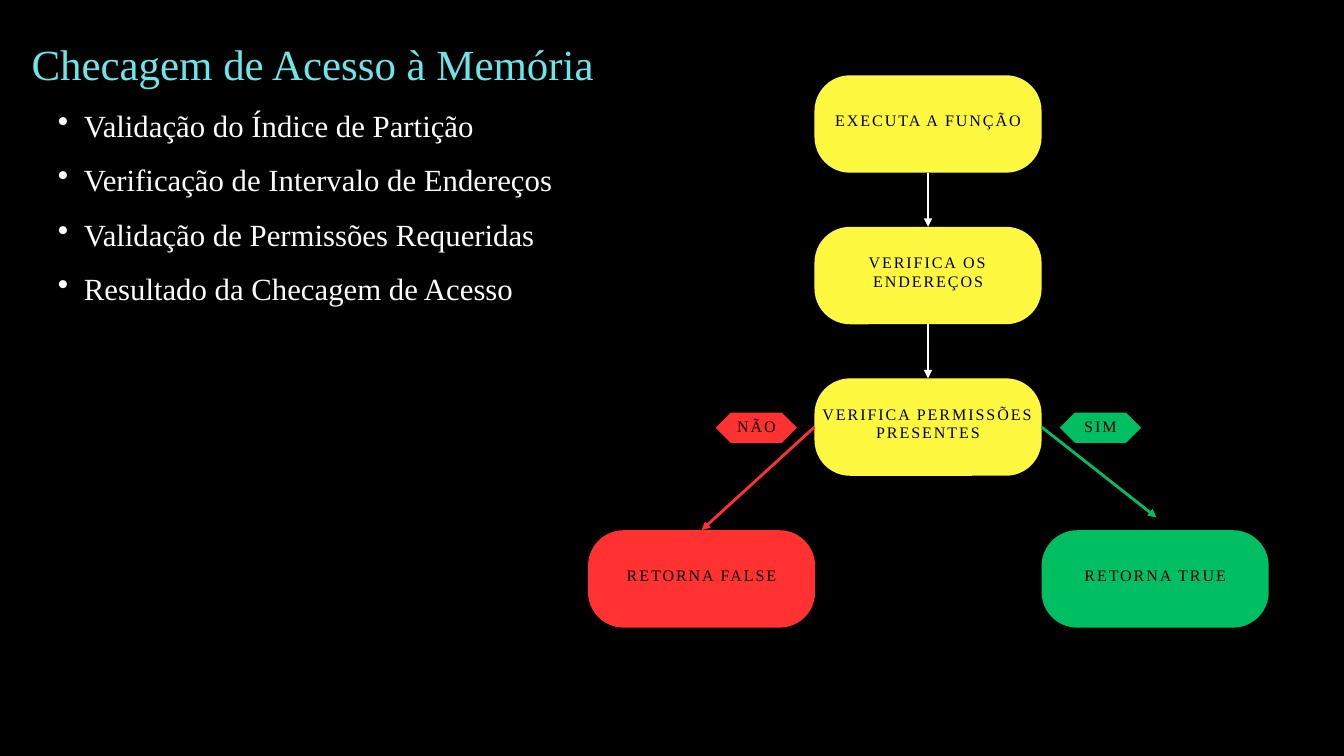
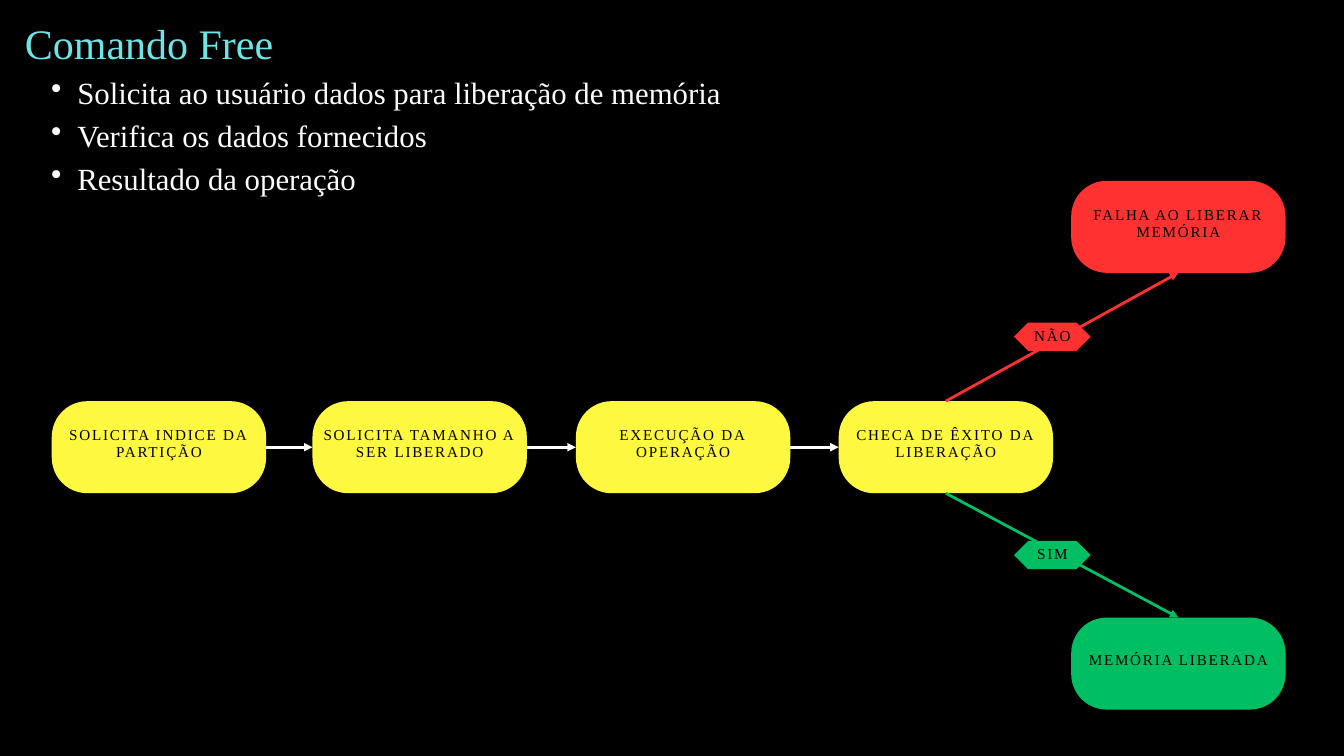
from lxml import etree
from pptx import Presentation
from pptx.dml.color import RGBColor
from pptx.enum import shapes, text
from pptx.oxml import ns
from pptx.util import Inches, Pt

COLORS = {
    "back": "000000", "ink": "000000", "title": "6CE5E8", "list": "FDFDFD",
    "arrow": "FFFFFF", "step": "FFF840", "no": "FF3131", "yes": "00BF63",
}
FONT = "Times New Roman"
TOP, LEFT, BOTTOM, RIGHT = range(4)


def color(name):
    return RGBColor.from_string(COLORS[name])


class Deck:
    """Holds the shared style and the current slide."""

    def __init__(self):
        self.prs = Presentation()
        self.prs.slide_width = Inches(20)
        self.prs.slide_height = Inches(11.25)
        fill = self.prs.slide_master.background.fill
        fill.solid()
        fill.fore_color.rgb = color("back")

    def page(self, box, tag, size, gap, lead):
        """Start a slide; set the box and tag sizes and the label type."""
        self.slide = self.prs.slides.add_slide(self.prs.slide_layouts[5])
        self.box, self.tag = box, tag
        self.size, self.gap, self.lead = size, gap, lead

    def style(self, par, size, hue, lead, align, gap=0):
        par.alignment = align
        par.line_spacing = Pt(lead)
        par.space_before = par.space_after = Pt(0)
        for run in par.runs:
            run.font.name = FONT
            run.font.size = Pt(size)
            run.font.color.rgb = color(hue)
            if gap:
                run.font._element.set("spc", str(round(gap * 100)))

    def frame(self, shape, anchor, wrap, low=0):
        frame = shape.text_frame
        frame.margin_left = frame.margin_right = frame.margin_top = 0
        frame.margin_bottom = Inches(low)
        frame.vertical_anchor = anchor
        frame.word_wrap = wrap
        frame.auto_size = text.MSO_AUTO_SIZE.NONE
        return frame

    def head(self, words, items, left, top, width, size, lead, step):
        """Title with its bullet list directly below."""
        title = self.slide.shapes.title
        title.left, title.top = Inches(left), Inches(top)
        title.width, title.height = Inches(width), Pt(lead)
        frame = self.frame(title, text.MSO_ANCHOR.TOP, True)
        frame.text = words
        self.style(frame.paragraphs[0], size, "title", lead, text.PP_ALIGN.JUSTIFY)

        body = self.slide.shapes.add_textbox(
            Inches(left), title.top + title.height, Inches(width), Pt(step * len(items)))
        frame = self.frame(body, text.MSO_ANCHOR.TOP, True)
        frame.text = "\n".join(items)
        for par in frame.paragraphs:
            par.level = 1
            self.style(par, 33, "list", step, text.PP_ALIGN.JUSTIFY)
            props = par._p.get_or_add_pPr()
            props.set("marL", str(Inches(0.78)))
            props.set("indent", str(Inches(-0.39)))
            etree.SubElement(props, ns.qn("a:buChar")).set("char", "•")

    def block(self, kind, words, left, top, dims, hue, bend, low):
        shape = self.slide.shapes.add_shape(
            kind, Inches(left), Inches(top), *map(Inches, dims))
        shape.adjustments[0] = bend
        shape.shadow.inherit = False
        shape.fill.solid()
        shape.fill.fore_color.rgb = color(hue)
        shape.line.fill.background()
        frame = self.frame(shape, text.MSO_ANCHOR.MIDDLE, False, low)
        frame.text = words
        self.style(frame.paragraphs[0], self.size, "ink", self.lead,
                   text.PP_ALIGN.CENTER, self.gap)
        return shape

    def node(self, words, left, top, hue="step"):
        """Rounded flow box; the label sits a little above the middle."""
        return self.block(shapes.MSO_SHAPE.ROUNDED_RECTANGLE, words, left, top,
                          self.box, hue, 0.53 / self.box[1], 0.11)

    def label(self, words, left, top, hue):
        """Hexagonal answer tag."""
        return self.block(shapes.MSO_SHAPE.HEXAGON, words, left, top,
                          self.tag, hue, 0.5, 0.03)

    def arrow(self, start, side, end, goal=None, hue="arrow"):
        """Arrow from a box side to another box side, or to a free point."""
        x, y = (0, 0) if goal is not None else map(Inches, end)
        line = self.slide.shapes.add_connector(shapes.MSO_CONNECTOR.STRAIGHT, 0, 0, x, y)
        line.begin_connect(start, side)
        if goal is not None:
            line.end_connect(end, goal)
        line.line.color.rgb = color(hue)
        line.line.width = Pt(3)
        etree.SubElement(line.line._get_or_add_ln(), ns.qn("a:tailEnd")).set("type", "triangle")
        etree.SubElement(line._element.spPr, ns.qn("a:effectLst"))


def access(deck):
    deck.page((3.38, 1.45), (1.21, 0.45), 17.2, 2.1, 19.8)
    deck.head("Checagem de Acesso à Memória", [
        "Validação do Índice de Partição",
        "Verificação de Intervalo de Endereços",
        "Validação de Permissões Requeridas",
        "Resultado da Checagem de Acesso",
    ], 0.47, 0.19, 9.76, 46, 81.4, 58.4)

    # Steps, top to bottom
    names = ["EXECUTA A FUNÇÃO", "VERIFICA OS\vENDEREÇOS",
             "VERIFICA PERMISSÕES\vPRESENTES"]
    steps = [deck.node(name, 12.12, 1.12 + 2.255 * i) for i, name in enumerate(names)]
    for one, two in zip(steps, steps[1:]):
        deck.arrow(one, BOTTOM, two, TOP)

    # Outcomes
    deck.node("RETORNA TRUE", 15.5, 7.89, "yes")
    fail = deck.node("RETORNA FALSE", 8.75, 7.89, "no")
    deck.arrow(steps[-1], LEFT, fail, TOP, "no")
    deck.arrow(steps[-1], RIGHT, (17.21, 7.7), hue="yes")
    deck.label("NÃO", 10.65, 6.14, "no")
    deck.label("SIM", 15.77, 6.14, "yes")


def free(deck):
    deck.page((3.19, 1.37), (1.14, 0.42), 16.2, 1.9, 18.7)
    deck.head("Comando Free", [
        "Solicita ao usuário dados para liberação de memória",
        "Verifica os dados fornecidos",
        "Resultado da operação",
    ], 0.37, 0.13, 13.25, 45, 63, 46.2)

    # Steps, left to right
    names = {"SOLICITA INDICE DA\vPARTIÇÃO": 0.77, "SOLICITA TAMANHO A\vSER LIBERADO": 4.65,
             "EXECUÇÃO DA\vOPERAÇÃO": 8.57, "CHECA DE ÊXITO DA\vLIBERAÇÃO": 12.48}
    steps = [deck.node(name, left, 5.97) for name, left in names.items()]
    for one, two in zip(steps, steps[1:]):
        deck.arrow(one, RIGHT, two, LEFT)

    # Outcomes
    fail = deck.node("FALHA AO LIBERAR\vMEMÓRIA", 15.94, 2.69, "no")
    done = deck.node("MEMÓRIA LIBERADA", 15.94, 9.19, "yes")
    deck.arrow(steps[-1], TOP, fail, BOTTOM, "no")
    deck.arrow(steps[-1], BOTTOM, done, TOP, "yes")
    deck.label("SIM", 15.09, 8.05, "yes")
    deck.label("NÃO", 15.09, 4.8, "no")


def main():
    deck = Deck()
    access(deck)
    free(deck)
    deck.prs.save("out.pptx")


if __name__ == "__main__":
    main()
